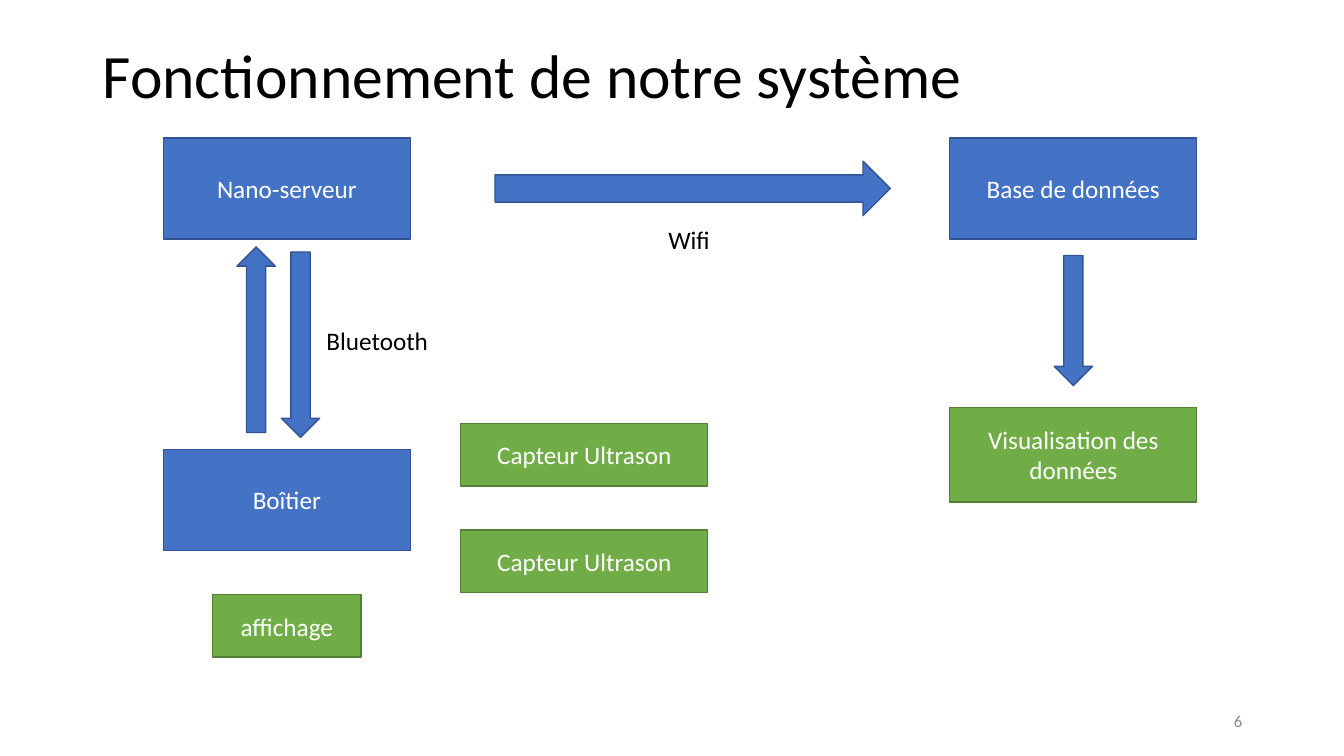
from dataclasses import dataclass

from pptx import Presentation
from pptx.dml.color import RGBColor
from pptx.enum.shapes import MSO_SHAPE
from pptx.enum.text import MSO_ANCHOR, PP_ALIGN
from pptx.util import Inches, Pt


@dataclass(frozen=True)
class Theme:
    font: str = "Calibri"
    blue: tuple = ("4472C4", "325491")   # fill, outline
    green: tuple = ("70AD47", "538035")
    light: str = "FFFFFF"
    dark: str = "000000"
    muted: str = "8C8C8C"
    title_size: int = 44
    body_size: int = 18
    number_size: int = 12
    outline: int = 1


THEME = Theme()
NODE_WIDTH, NODE_HEIGHT = 2.45, 1
SENSOR_HEIGHT = 0.62
ARROW_THICKNESS = 0.38


def write(frame, text, size=THEME.body_size, color=THEME.dark,
          align=PP_ALIGN.LEFT, anchor=MSO_ANCHOR.TOP, spacing=None):
    frame.word_wrap = True
    frame.vertical_anchor = anchor
    para = frame.paragraphs[0]
    para.alignment = align
    para.line_spacing = spacing
    span = para.add_run()
    span.text = text
    span.font.name = THEME.font
    span.font.size = Pt(size)
    span.font.color.rgb = RGBColor.from_string(color)


def add_text(page, box, text, **style):
    label = page.shapes.add_textbox(*map(Inches, box))
    write(label.text_frame, text, **style)


def add_block(page, kind, box, colors):
    fill, outline = colors
    block = page.shapes.add_shape(kind, *map(Inches, box))
    block.shadow.inherit = False
    block.fill.solid()
    block.fill.fore_color.rgb = RGBColor.from_string(fill)
    block.line.color.rgb = RGBColor.from_string(outline)
    block.line.width = Pt(THEME.outline)
    return block


def add_node(page, box, text, colors=THEME.blue):
    node = add_block(page, MSO_SHAPE.RECTANGLE, box, colors)
    write(node.text_frame, text, color=THEME.light,
          align=PP_ALIGN.CENTER, anchor=MSO_ANCHOR.MIDDLE)


def add_arrow(page, center, length, thickness=ARROW_THICKNESS, rotation=0):
    x, y = center
    box = (x - length / 2, y - thickness / 2, length, thickness)
    arrow = add_block(page, MSO_SHAPE.RIGHT_ARROW, box, THEME.blue)
    arrow.rotation = rotation


def add_device_column(page, left, top):
    """Server and board joined by a two-way link, with the display below."""
    add_node(page, (left, top, NODE_WIDTH, NODE_HEIGHT), "Nano-serveur")
    add_node(page, (left, top + 3.09, NODE_WIDTH, NODE_HEIGHT), "Boîtier")
    display_width = 1.47
    add_node(page, (left + (NODE_WIDTH - display_width) / 2, top + 4.53,
                    display_width, SENSOR_HEIGHT), "affichage", THEME.green)
    add_arrow(page, (left + 0.92, top + 2), 1.84, rotation=270)
    add_arrow(page, (left + 1.36, top + 2.05), 1.84, rotation=90)
    add_text(page, (left + 1.52, top + 1.81, 1.43, 0.4), "Bluetooth")


def add_sensors(page, left, top, count=2, pitch=1.06):
    for index in range(count):
        add_node(page, (left, top + index * pitch, NODE_WIDTH, SENSOR_HEIGHT),
                 "Capteur Ultrason", THEME.green)


def add_network_link(page, left, top, length=3.92, thickness=0.54):
    add_arrow(page, (left + length / 2, top + thickness / 2), length, thickness)
    add_text(page, (left + 1.62, top + 0.58, 0.68, 0.4), "Wifi")


def add_data_column(page, left, top):
    """Database feeding the visualisation."""
    add_node(page, (left, top, NODE_WIDTH, NODE_HEIGHT), "Base de données")
    add_arrow(page, (left + NODE_WIDTH / 2, top + 1.81), 1.29, rotation=90)
    add_node(page, (left, top + 2.67, NODE_WIDTH, 0.94),
             "Visualisation des données", THEME.green)


def main():
    deck = Presentation()
    deck.slide_width, deck.slide_height = Inches(13.33), Inches(7.5)
    page = deck.slides.add_slide(deck.slide_layouts[6])

    # Title
    add_text(page, (0.92, 0.4, 11.49, 0.7), "Fonctionnement de notre système",
             size=THEME.title_size, spacing=0.9)

    # Diagram
    add_device_column(page, 1.62, 1.37)
    add_sensors(page, 4.57, 4.2)
    add_network_link(page, 4.91, 1.6)
    add_data_column(page, 9.42, 1.37)

    # Slide number
    add_text(page, (9.42, 6.95, 3, 0.4), "6", size=THEME.number_size,
             color=THEME.muted, align=PP_ALIGN.RIGHT, anchor=MSO_ANCHOR.MIDDLE)

    deck.save("out.pptx")


if __name__ == "__main__":
    main()
